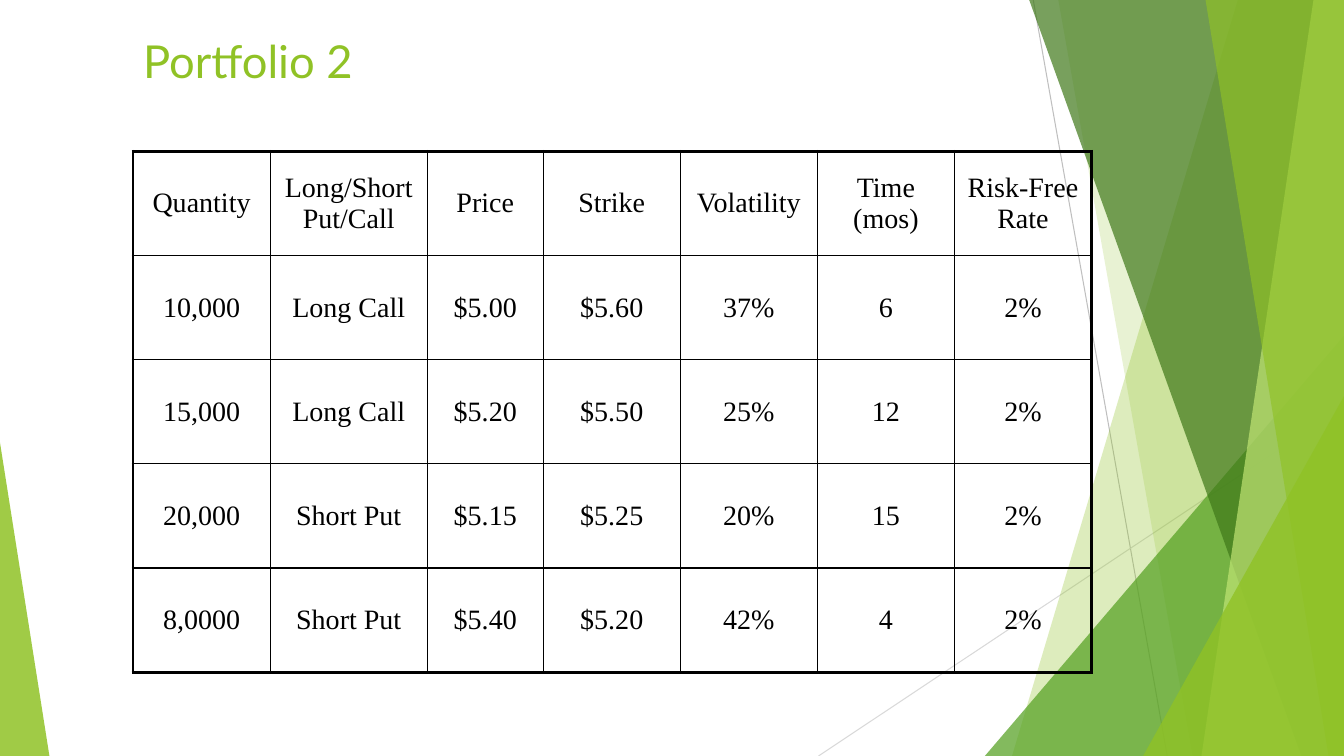
from dataclasses import dataclass

from lxml.etree import SubElement
from pptx import Presentation
from pptx.dml.color import RGBColor
from pptx.enum.shapes import MSO_CONNECTOR, MSO_SHAPE
from pptx.enum.text import MSO_ANCHOR, MSO_AUTO_SIZE, PP_ALIGN
from pptx.oxml.ns import qn
from pptx.shapes.autoshape import Shape
from pptx.slide import Slide
from pptx.table import _Cell
from pptx.util import Inches, Length, Pt

SLIDE_WIDTH = Inches(13.333)
SLIDE_HEIGHT = Inches(7.5)
GREEN = "90C226"
BLACK = "000000"
THIN, THICK = 1, 2.25


@dataclass(frozen=True)
class Ray:
    """A thin line; places are percentages of the slide's size."""
    start: tuple[float, float]
    end: tuple[float, float]
    color: str


@dataclass(frozen=True)
class Facet:
    """A full-height panel from a slanted left side to the right slide edge."""
    top_left: float
    bottom_left: float
    color: str
    opacity: int


@dataclass(frozen=True)
class Corner:
    """A right triangle standing on the bottom edge of the slide."""
    left: float
    top: float
    width: float
    peak: float
    color: str
    opacity: int


RAYS = (
    Ray((76.88, 0), (86.85, 100), "BFBFBF"),
    Ray((100, 53.73), (60.9, 100), "D9D9D9"),
)
PANELS = (
    Facet(92.1, 75.3, GREEN, 30),
    Facet(78.75, 88.73, GREEN, 20),
    Corner(73.28, 44.4, 26.72, 1, "54A021", 72),
    Facet(76.58, 96.83, "3F7819", 70),
    Facet(97.73, 89.4, "C0E474", 70),
    Facet(89.7, 98.85, GREEN, 65),
    Corner(85.05, 52.4, 14.95, 1, GREEN, 80),
    Corner(0, 58.53, 3.68, 0, GREEN, 85),
)
COLUMN_SHARES = (10.2, 11.7, 8.62, 10.2, 10.2, 10.2, 10.2)
ROW_SHARE = 13.79
POSITIONS = (
    ("Quantity", "Long/Short Put/Call", "Price", "Strike", "Volatility", "Time (mos)", "Risk-Free Rate"),
    ("10,000", "Long Call", "$5.00", "$5.60", "37%", "6", "2%"),
    ("15,000", "Long Call", "$5.20", "$5.50", "25%", "12", "2%"),
    ("20,000", "Short Put", "$5.15", "$5.25", "20%", "15", "2%"),
    ("8,0000", "Short Put", "$5.40", "$5.20", "42%", "4", "2%"),
)


def across(percent: float) -> Length:
    """Return a share of the slide's width."""
    return Length(round(SLIDE_WIDTH * percent / 100))


def down(percent: float) -> Length:
    """Return a share of the slide's height."""
    return Length(round(SLIDE_HEIGHT * percent / 100))


def rgb(color: str) -> RGBColor:
    """Turn a hex string into a colour."""
    return RGBColor.from_string(color)


def paint(shape: Shape, color: str, opacity: int) -> None:
    """Fill a shape with a see-through colour and no outline."""
    shape.shadow.inherit = False
    shape.line.fill.background()
    shape.fill.solid()
    shape.fill.fore_color.rgb = rgb(color)
    color_element = next(shape.element.spPr.iter(qn("a:srgbClr")))
    SubElement(color_element, qn("a:alpha"), val=str(opacity * 1000))


def draw_ray(slide: Slide, ray: Ray) -> None:
    """Draw one thin background line."""
    (start_x, start_y), (end_x, end_y) = ray.start, ray.end
    connector = slide.shapes.add_connector(
        MSO_CONNECTOR.STRAIGHT, across(start_x), down(start_y), across(end_x), down(end_y))
    connector.line.color.rgb = rgb(ray.color)
    connector.line.width = Pt(0.75)
    SubElement(connector.element.spPr, qn("a:effectLst"))


def draw_panel(slide: Slide, panel: Facet | Corner) -> None:
    """Draw one background facet or corner triangle."""
    if isinstance(panel, Facet):
        builder = slide.shapes.build_freeform(across(panel.top_left), 0)
        builder.add_line_segments((
            (SLIDE_WIDTH, 0), (SLIDE_WIDTH, SLIDE_HEIGHT), (across(panel.bottom_left), SLIDE_HEIGHT)))
        shape = builder.convert_to_shape()
    else:
        shape = slide.shapes.add_shape(
            MSO_SHAPE.ISOSCELES_TRIANGLE, across(panel.left), down(panel.top),
            across(panel.width), down(100 - panel.top))
        shape.adjustments[0] = panel.peak
    paint(shape, panel.color, panel.opacity)


def write_title(slide: Slide, text: str) -> None:
    """Place and format the title in front of the background."""
    title = slide.shapes.title
    slide.shapes.element.append(title.element)
    title.left, title.top = across(9.9), down(3.33)
    title.width, title.height = across(74.18), down(9.33)
    frame = title.text_frame
    frame.text = text
    frame.word_wrap = True
    frame.auto_size = MSO_AUTO_SIZE.NONE
    frame.vertical_anchor = MSO_ANCHOR.MIDDLE
    paragraph = frame.paragraphs[0]
    paragraph.alignment = PP_ALIGN.LEFT
    font = paragraph.runs[0].font
    font.name, font.size, font.color.rgb = "Lato", Pt(32.4), rgb(GREEN)


def add_border(cell: _Cell, side: str, width: float) -> None:
    """Add a black border to one side of a cell."""
    properties = cell._tc.get_or_add_tcPr()
    border = SubElement(properties, qn(f"a:ln{side}"), w=str(Pt(width)))
    fill = SubElement(border, qn("a:solidFill"))
    SubElement(fill, qn("a:srgbClr"), val=BLACK)


def format_cell(cell: _Cell, text: str, outer_sides: dict[str, bool]) -> None:
    """Write one cell, with thick borders on the table's outer sides."""
    cell.text_frame.text = text
    cell.vertical_anchor = MSO_ANCHOR.MIDDLE
    for side, is_outer in outer_sides.items():
        add_border(cell, side, THICK if is_outer else THIN)
    cell.fill.background()
    paragraph = cell.text_frame.paragraphs[0]
    paragraph.alignment = PP_ALIGN.CENTER
    paragraph.space_before = Pt(4)
    font = paragraph.runs[0].font
    font.name, font.size, font.color.rgb = "Times New Roman", Pt(20), rgb(BLACK)


def add_positions(slide: Slide) -> None:
    """Draw the table of option positions."""
    row_count, column_count = len(POSITIONS), len(COLUMN_SHARES)
    table = slide.shapes.add_table(
        row_count, column_count, across(9.9), down(20),
        across(sum(COLUMN_SHARES)), down(ROW_SHARE * row_count)).table
    table.first_row = table.horz_banding = False
    for column, share in zip(table.columns, COLUMN_SHARES):
        column.width = across(share)
    for row_index, values in enumerate(POSITIONS):
        table.rows[row_index].height = down(ROW_SHARE)
        for column_index, value in enumerate(values):
            outer_sides = {
                "L": column_index == 0,
                "R": column_index == column_count - 1,
                "T": row_index == 0,
                "B": row_index == row_count - 1,
            }
            format_cell(table.cell(row_index, column_index), value, outer_sides)


def main() -> None:
    """Build and save the slide."""
    presentation = Presentation()
    presentation.slide_width, presentation.slide_height = SLIDE_WIDTH, SLIDE_HEIGHT
    slide = presentation.slides.add_slide(presentation.slide_layouts[5])
    for ray in RAYS:
        draw_ray(slide, ray)
    for panel in PANELS:
        draw_panel(slide, panel)
    write_title(slide, "Portfolio 2")
    add_positions(slide)
    presentation.save("out.pptx")


if __name__ == "__main__":
    main()
